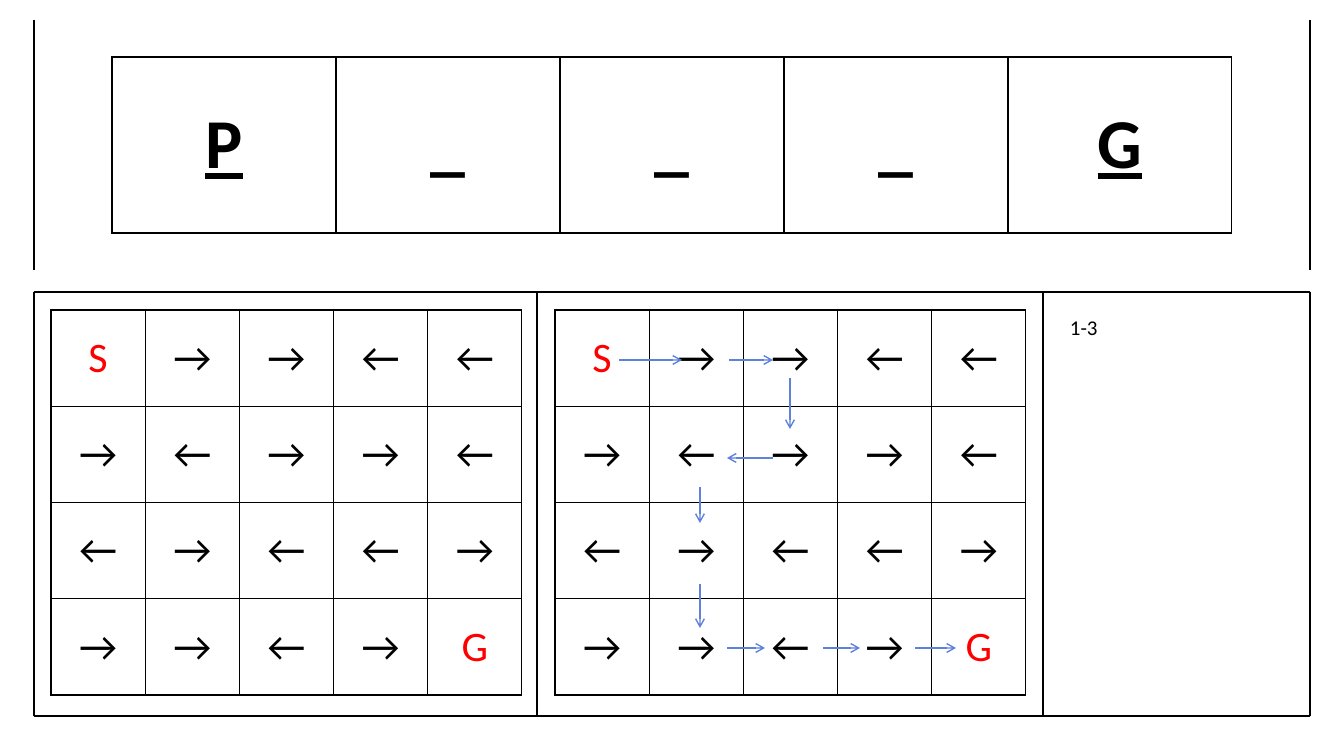
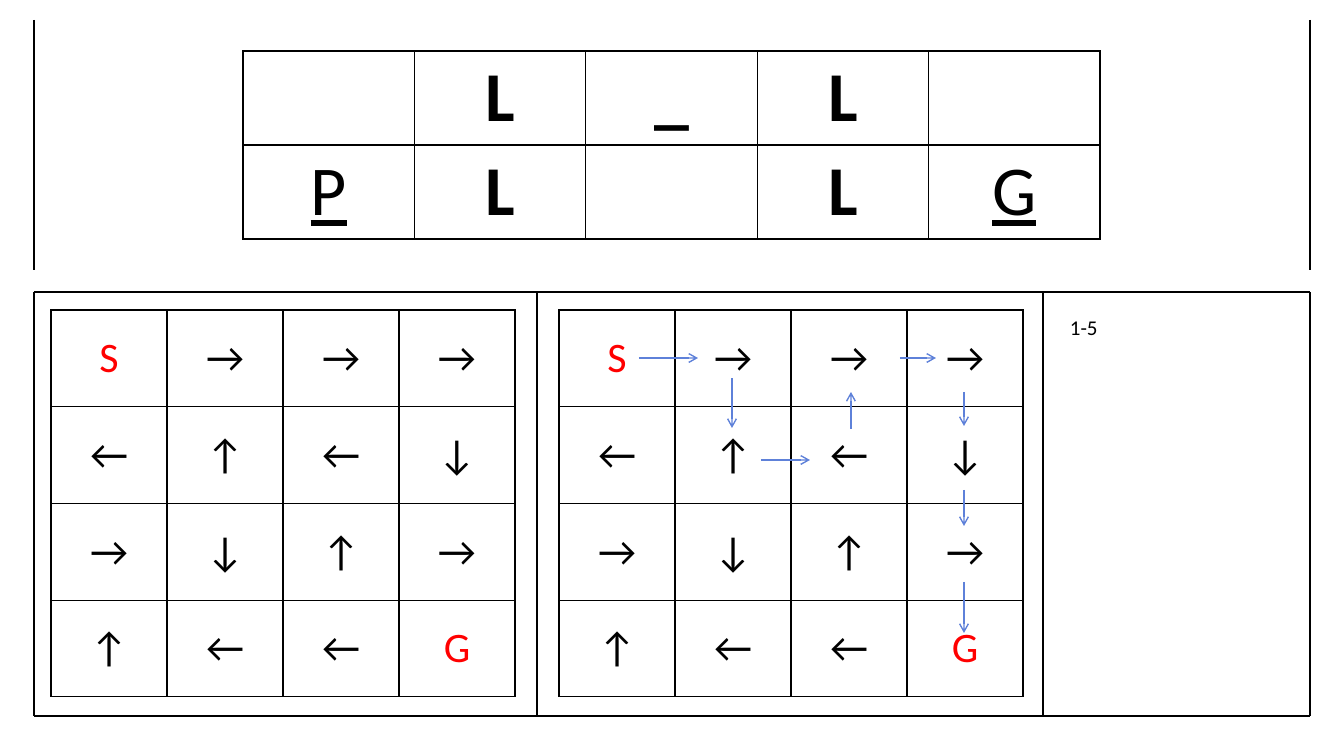
from lxml import etree
from pptx import Presentation
from pptx.dml.color import RGBColor
from pptx.enum.shapes import MSO_CONNECTOR
from pptx.enum.text import MSO_ANCHOR, PP_ALIGN
from pptx.oxml.ns import qn
from pptx.util import Emu, Pt

COLORS = {"ink": "000000", "paper": "FFFFFF", "endpoint": "FF0000", "route": "5E81D9"}
FONT = "Calibri"
PX = 12192000 / 1344

# Panel frame shared by both slides: left, top, right, bottom
TOP_BAND = (20, 270)
LEFT, TOP, RIGHT, BOTTOM = 34, 292, 1310, 716
FRAME = [(x, *TOP_BAND) for x in (LEFT, RIGHT)]
FRAME = [(x, y1, x, y2) for x, y1, y2 in FRAME]
FRAME += [(x, TOP, x, BOTTOM) for x in (LEFT, 537, 1043, RIGHT)]
FRAME += [(LEFT, y, RIGHT, y) for y in (TOP, BOTTOM)]

PUZZLES = [
    {
        "label": "1-3",
        "board": ["P___G"],
        "board_box": (112, 57, 1120, 176),
        "plain": "",
        "maze": ["S→→←←", "→←→→←", "←→←←→", "→→←→G"],
        "maze_boxes": [(51, 310, 471, 385), (555, 310, 471, 385)],
        "route": [
            (619, 360, 682, 360), (729, 360, 773, 360), (790, 378, 790, 429),
            (773, 458, 727, 458), (700, 487, 700, 523), (700, 584, 700, 628),
            (727, 648, 765, 648), (823, 648, 860, 648), (915, 648, 956, 648),
        ],
    },
    {
        "label": "1-5",
        "board": [" L_L ", "PL LG"],
        "board_box": (243, 51, 857, 188),
        "plain": "PG",
        "maze": ["S→→→", "←↑←↓", "→↓↑→", "↑←←G"],
        "maze_boxes": [(51, 310, 464, 387), (559, 310, 464, 387)],
        "route": [
            (639, 358, 698, 358), (732, 378, 732, 428), (761, 460, 810, 460),
            (851, 429, 851, 392), (900, 358, 936, 358), (964, 392, 964, 426),
            (964, 490, 964, 526), (964, 582, 964, 633),
        ],
    },
]


def add_line(slide, ends, color, arrow=False):
    connector = slide.shapes.add_connector(
        MSO_CONNECTOR.STRAIGHT, *(Emu(round(v * PX)) for v in ends))
    connector.line.width = Pt(1)
    connector.line.color.rgb = RGBColor.from_string(COLORS[color])
    properties = connector.line._get_or_add_ln().getparent()
    if arrow:
        etree.SubElement(properties.find(qn("a:ln")), qn("a:tailEnd"), type="arrow")
    etree.SubElement(properties, qn("a:effectLst"))


def add_grid(slide, box, lines, size, style):
    """Draw one ruled cell per character; style maps it to (color, bold, underline)."""
    table = slide.shapes.add_table(
        len(lines), len(lines[0]), *(Emu(round(v * PX)) for v in box)).table
    table.first_row = table.horz_banding = False
    for row, letters in enumerate(lines):
        for column, letter in enumerate(letters):
            cell = table.cell(row, column)
            cell.vertical_anchor = MSO_ANCHOR.MIDDLE
            cell.margin_top = cell.margin_bottom = Emu(round(4 * PX))
            for side in ("lnL", "lnR", "lnT", "lnB"):
                border = etree.SubElement(
                    cell._tc.get_or_add_tcPr(), qn(f"a:{side}"), w=str(Pt(1)))
                fill = etree.SubElement(border, qn("a:solidFill"))
                etree.SubElement(fill, qn("a:srgbClr"), val=COLORS["ink"])
            cell.fill.solid()
            cell.fill.fore_color.rgb = RGBColor.from_string(COLORS["paper"])
            if letter == " ":
                continue
            paragraph = cell.text_frame.paragraphs[0]
            paragraph.alignment = PP_ALIGN.CENTER
            run = paragraph.add_run()
            run.text = letter
            color, run.font.bold, run.font.underline = style(letter)
            run.font.name = FONT
            run.font.size = Pt(size)
            run.font.color.rgb = RGBColor.from_string(COLORS[color])


prs = Presentation()
prs.slide_width = Emu(round(1344 * PX))
prs.slide_height = Emu(round(756 * PX))

for puzzle in PUZZLES:
    slide = prs.slides.add_slide(prs.slide_layouts[6])
    for ends in FRAME:
        add_line(slide, ends, "ink")

    label = slide.shapes.add_textbox(
        *(Emu(round(v * PX)) for v in (1060, 310, 238, 34))).text_frame
    label.word_wrap = True
    run = label.paragraphs[0].add_run()
    run.text = puzzle["label"]
    run.font.name = FONT
    run.font.size = Pt(15)
    run.font.color.rgb = RGBColor.from_string(COLORS["ink"])

    add_grid(slide, puzzle["board_box"], puzzle["board"], 50,
             lambda letter: ("ink", letter not in puzzle["plain"], letter in "PG"))
    for box in puzzle["maze_boxes"]:
        add_grid(slide, box, puzzle["maze"], 30,
                 lambda letter: ("endpoint" if letter in "SG" else "ink", False, False))
    for ends in puzzle["route"]:
        add_line(slide, ends, "route", arrow=True)

prs.save("out.pptx")
